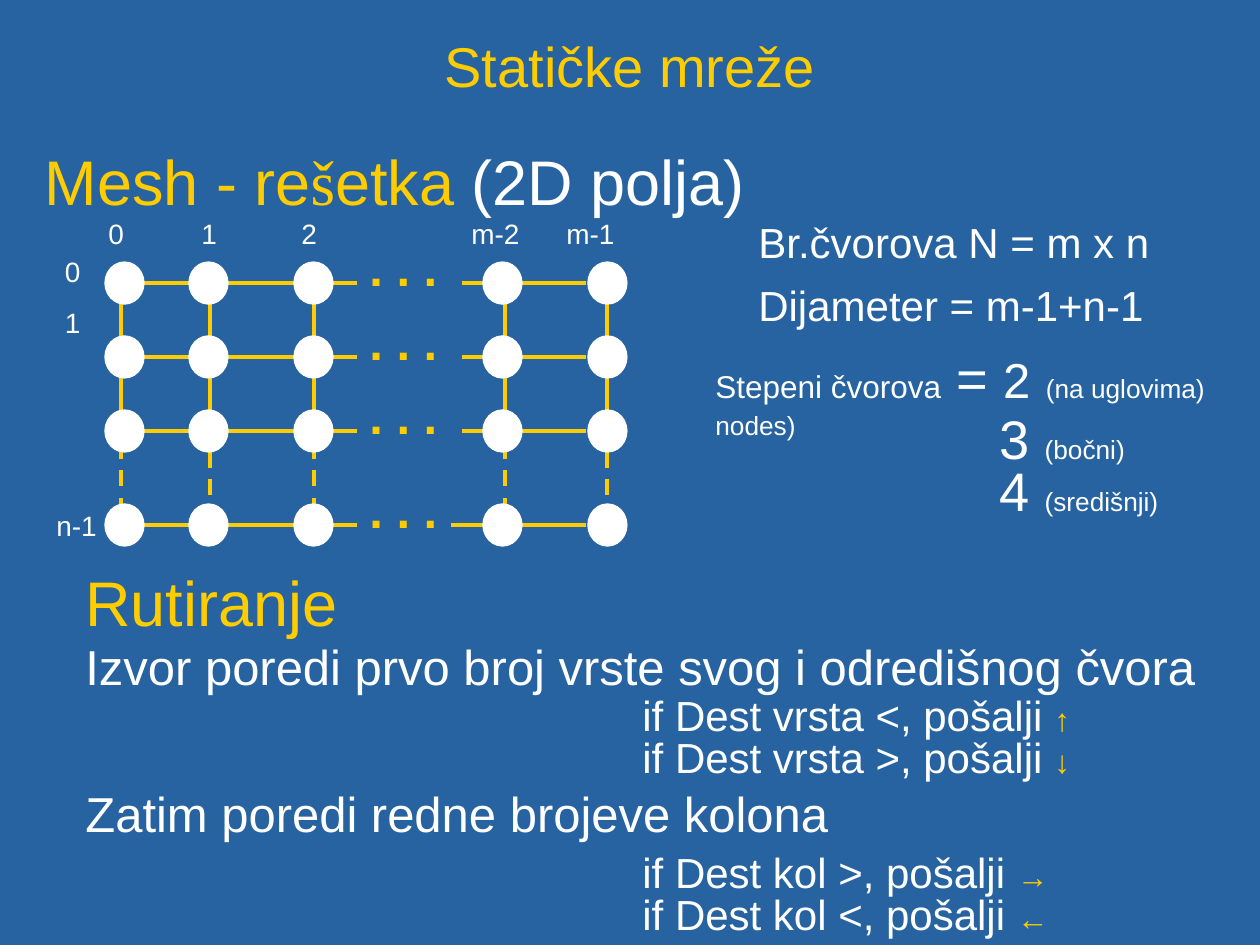
from dataclasses import dataclass

from lxml.etree import SubElement
from pptx import Presentation
from pptx.dml.color import RGBColor
from pptx.enum.dml import MSO_LINE
from pptx.enum.shapes import MSO_CONNECTOR, MSO_SHAPE
from pptx.enum.text import MSO_ANCHOR, MSO_AUTO_SIZE, PP_ALIGN
from pptx.oxml.ns import qn
from pptx.util import Emu, Pt


@dataclass(frozen=True)
class Theme:
    """Colours, fonts and type sizes of the slide."""

    background: RGBColor = RGBColor(0x26, 0x63, 0xA0)
    accent: RGBColor = RGBColor(0xFF, 0xCC, 0x00)
    plain: RGBColor = RGBColor(0xFF, 0xFF, 0xFF)
    font: str = "Arial"
    serif: str = "Times New Roman"
    title: int = 32
    heading: int = 36
    statement: int = 28
    formula: int = 24
    degree: int = 31
    arrow: int = 18
    label: int = 16
    note: int = 15
    wire: float = 2.25
    outline: float = 0.75


THEME = Theme()
PX = 914400 / 126
COLUMNS = [(105, 121, 0), (189, 210, 9), (294, 314, 0), (483, 505, 0), (588, 607, 9)]
ROWS = [(262, 462), (336, 462), (410, 462), (504, 451)]
NODE_WIDTH, NODE_HEIGHT = 39, 42
COLUMN_TABS = [93, 193, 363, 458]


def px(*lengths):
    """Turn pixel lengths into EMU."""
    return [Emu(round(length * PX)) for length in lengths]


def apply(target, values):
    """Set each named attribute of the target."""
    for name, value in values.items():
        setattr(target, name, value)


def write(paragraph, runs, **spacing):
    """Fill a paragraph with (text, size, colour, overrides) runs."""
    apply(paragraph, {"line_spacing": 1.0, **spacing})
    for wording, size, colour, *overrides in runs:
        run = paragraph.add_run()
        run.text = wording
        apply(run.font, {"name": THEME.font, "size": Pt(size), "bold": False})
        run.font.color.rgb = colour
        for override in overrides:
            apply(run.font, override)


def add_text(shapes, box, runs, before, **spacing):
    """Add a wrapping text box and return its frame."""
    frame = shapes.add_textbox(*px(*box)).text_frame
    apply(frame, {"word_wrap": True, "auto_size": MSO_AUTO_SIZE.SHAPE_TO_FIT_TEXT})
    write(frame.paragraphs[0], runs, space_before=Pt(before), **spacing)
    return frame


def add_wire(shapes, start, end, dashed=False):
    """Add one link of the mesh."""
    wire = shapes.add_connector(MSO_CONNECTOR.STRAIGHT, *px(*start, *end))
    wire.line.color.rgb = THEME.accent
    wire.line.width = Pt(THEME.wire)
    if dashed:
        wire.line.dash_style = MSO_LINE.DASH
    SubElement(wire._element.spPr, qn("a:effectLst"))


def add_node(shapes, left, top):
    """Add one node of the mesh."""
    node = shapes.add_shape(MSO_SHAPE.OVAL, *px(left, top, NODE_WIDTH, NODE_HEIGHT))
    node.shadow.inherit = False
    node.fill.solid()
    node.fill.fore_color.rgb = THEME.plain
    node.line.color.rgb = THEME.plain
    node.line.width = Pt(THEME.outline)


def add_column_labels(shapes):
    """Number the columns along tab stops."""
    numbers = "\t".join(["0", "1", "2", "m-2", "m-1"])
    frame = add_text(shapes, (96, 210, 576, 47), [(numbers, THEME.label, THEME.plain)], 10)
    stops = SubElement(frame.paragraphs[0]._p.get_or_add_pPr(), qn("a:tabLst"))
    for position in px(*COLUMN_TABS):
        SubElement(stops, qn("a:tab"), pos=str(position), algn="l")


def add_row_labels(shapes):
    """Number the rows, leaving a gap before the last one."""
    centred = {"alignment": PP_ALIGN.CENTER}
    frame = add_text(shapes, (32, 248, 89, 302),
                     [("0 ", THEME.label, THEME.plain)], 10, **centred)
    for number, before in (("1 ", 10), ("n-1", 97)):
        write(frame.add_paragraph(), [(number, THEME.label, THEME.plain)],
              space_before=Pt(before), **centred)


def add_mesh(slide):
    """Draw the grouped two-dimensional mesh."""
    shapes = slide.shapes.add_group_shape().shapes
    for _, x, drop in COLUMNS:
        add_wire(shapes, (x, 286), (x, 428 + drop))
        add_wire(shapes, (x, 443 + drop), (x, 514 + drop), dashed=True)
    for top, resume in ROWS:
        y = top + NODE_HEIGHT // 2
        add_wire(shapes, (136, y), (357, y))
        add_wire(shapes, (resume, y), (586, y))
        add_text(shapes, (357, top - 31, 129, 72),
                 [(". . .", THEME.statement, THEME.accent, {"bold": True})], 17.5)
        for left, _, _ in COLUMNS:
            add_node(shapes, left, top)
    add_column_labels(shapes)
    add_row_labels(shapes)


def fill_placeholder(placeholder, box, anchor, runs, **spacing):
    """Move a template placeholder and write its text."""
    apply(placeholder, dict(zip(("left", "top", "width", "height"), px(*box))))
    frame = placeholder.text_frame
    apply(frame, {"word_wrap": True, "auto_size": MSO_AUTO_SIZE.NONE,
                  "vertical_anchor": anchor})
    write(frame.paragraphs[0], runs, **spacing)
    return frame.paragraphs[0]


def add_headings(slide):
    """Write the title and the topic line."""
    title, topic = slide.placeholders
    fill_placeholder(title, (0, 26, 1260, 79), MSO_ANCHOR.MIDDLE,
                     [("Statičke mreže", THEME.title, THEME.accent)],
                     alignment=PP_ALIGN.CENTER, space_before=Pt(0))
    size, accent = THEME.heading, THEME.accent
    line = fill_placeholder(
        topic, (32, 136, 1207, 105), MSO_ANCHOR.TOP,
        [("Mesh - re", size, accent), ("š", size, accent, {"name": THEME.serif}),
         ("etka", size, accent), (" (2D polja)", size, THEME.plain)],
        space_before=Pt(9))
    properties = line._p.get_or_add_pPr()
    indent, = px(48)
    properties.set("marL", str(indent))
    properties.set("indent", str(-indent))
    SubElement(properties, qn("a:buNone"))


def add_properties(slide):
    """List node count, diameter and node degrees."""
    shapes, plain = slide.shapes, THEME.plain
    for wording, top, width in (("Br.čvorova N = m x n", 210, 483),
                                ("Dijameter = m-1+n-1", 273, 514)):
        add_text(shapes, (746, top, width, 63), [(wording, THEME.formula, plain)], 15)
    add_text(shapes, (703, 336, 557, 112),
             [("Stepeni čvorova", 18, plain), (" = ", THEME.degree, plain),
              ("2", THEME.statement, plain), (" ", THEME.title, plain),
              ("(na uglovima) nodes)", THEME.note, plain)], 9.4)
    for degree, place, top in (("3 ", "(bočni)", 399), ("4 ", "(središnji)", 451)):
        add_text(shapes, (987, top, 273, 79),
                 [(degree, THEME.degree, plain), (place, THEME.note, plain)], 9.4)


def add_routing(slide):
    """Describe the routing steps and their directions."""
    shapes = slide.shapes
    add_text(shapes, (73, 557, 1071, 88),
             [("Rutiranje", THEME.heading, THEME.accent)], 22.5)
    for step, top in (("Izvor poredi prvo broj vrste svog i odredišnog čvora", 630),
                      ("Zatim poredi redne brojeve kolona", 777)):
        add_text(shapes, (73, top, 1142, 72), [(step, THEME.statement, THEME.plain)], 17.5)
    for test, arrow, top in (("vrsta <", "↑", 683), ("vrsta >", "↓", 725),
                             ("kol >", "→", 840), ("kol <", "←", 882)):
        add_text(shapes, (630, top, 546, 63),
                 [(f"if Dest {test}, pošalji ", THEME.formula, THEME.plain),
                  (arrow, THEME.arrow, THEME.accent)], 11.2)


def main():
    """Build and save the slide."""
    deck = Presentation()
    deck.slide_width, deck.slide_height = px(1260, 945)
    slide = deck.slides.add_slide(deck.slide_layouts[1])
    slide.background.fill.solid()
    slide.background.fill.fore_color.rgb = THEME.background
    add_headings(slide)
    add_properties(slide)
    add_routing(slide)
    add_mesh(slide)
    deck.save("out.pptx")


if __name__ == "__main__":
    main()
